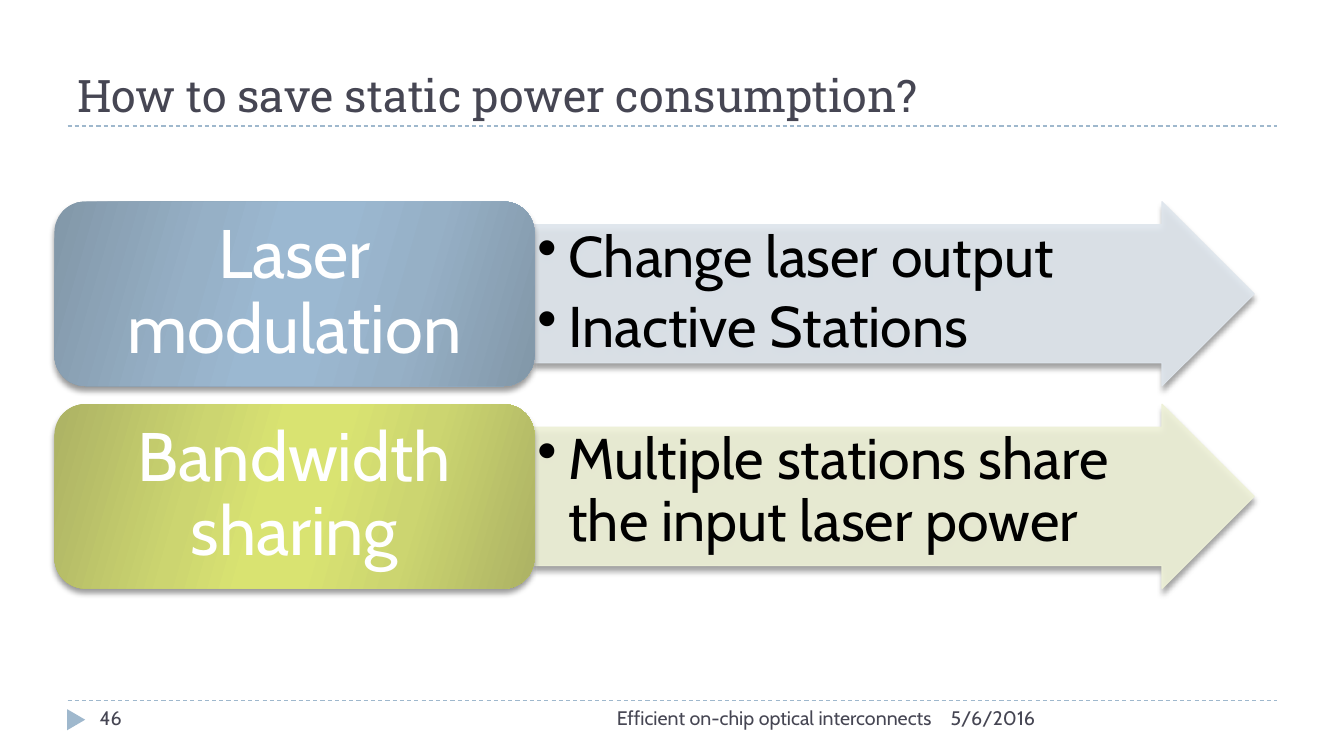
from lxml.etree import SubElement
from pptx import Presentation
from pptx.dml.color import RGBColor
from pptx.enum.dml import MSO_LINE
from pptx.enum.shapes import MSO_CONNECTOR, MSO_SHAPE
from pptx.enum.text import MSO_ANCHOR, PP_ALIGN
from pptx.oxml import parse_xml
from pptx.oxml.ns import nsdecls, qn
from pptx.util import Emu, Pt

PX = 9144  # 100 px to the inch

WHITE = RGBColor(0xFF, 0xFF, 0xFF)
BLACK = RGBColor(0x00, 0x00, 0x00)
SLATE = RGBColor(0x46, 0x46, 0x53)
BLUE = RGBColor(0x9F, 0xB8, 0xCD)
PALE_BLUE = RGBColor(0xDF, 0xE6, 0xED)
PALE_GREEN = RGBColor(0xEE, 0xF1, 0xD7)
# Edge, shoulder and centre of each label's gradient
BLUES = (RGBColor(0x82, 0x97, 0xA8), RGBColor(0x96, 0xB0, 0xC6), RGBColor(0x9B, 0xB8, 0xD1))
GREENS = (RGBColor(0xAC, 0xB2, 0x64), RGBColor(0xCC, 0xD5, 0x70), RGBColor(0xD9, 0xE3, 0x71))
GRADIENT_STOPS = ((0, 0), (30, 1), (45, 2), (55, 2), (73, 1), (100, 0))

LABEL_LEFT, LABEL_WIDTH = 54, 476
ARROW_LEFT, ARROW_WIDTH = LABEL_LEFT + LABEL_WIDTH, 714
ROW_TOP, ROW_HEIGHT, ROW_PITCH = 200, 183, 201
ROWS = (
    ("Laser modulation", BLUES, PALE_BLUE, ("Change laser output", "Inactive Stations")),
    ("Bandwidth sharing", GREENS, PALE_GREEN, ("Multiple stations share the input laser power",)),
)


def px(*lengths):
    return [Emu(n * PX) for n in lengths]


def write(sp, *lines, size, color, font="Cabin", align=PP_ALIGN.LEFT, anchor=MSO_ANCHOR.TOP,
          insets=(10, 5), spacing=None, after=None, bullet_indent=None):
    """Fill a shape with one paragraph per line; insets are (horizontal, vertical)."""
    tf = sp.text_frame
    tf.word_wrap = True
    tf.vertical_anchor = anchor
    tf.margin_left, tf.margin_top = px(*insets)
    tf.margin_right, tf.margin_bottom = px(*insets)
    for i, line in enumerate(lines):
        p = tf.add_paragraph() if i else tf.paragraphs[0]
        p.alignment = align
        p.line_spacing = spacing
        p.space_after = after
        if bullet_indent:
            add_bullet(p, bullet_indent)
        r = p.add_run()
        r.text = line
        r.font.name = font
        r.font.size = Pt(size)
        r.font.color.rgb = color


def add_bullet(p, indent):
    pPr = p._p.get_or_add_pPr()
    pPr.set("marL", str(indent * PX))
    pPr.set("indent", str(-indent * PX))
    SubElement(pPr, qn("a:buChar")).set("char", "•")


def add_text(s, x, y, w, h, text, **fmt):
    write(s.shapes.add_textbox(*px(x, y, w, h)), text, **fmt)


def add_rule(s, y):
    line = s.shapes.add_connector(MSO_CONNECTOR.STRAIGHT, *px(67, y, 1267, y))
    line.line.color.rgb = BLUE
    line.line.width = Pt(0.75)
    line.line.dash_style = MSO_LINE.DASH
    SubElement(line._element.spPr, qn("a:effectLst"))


def add_shadow(sp):
    sp._element.spPr.append(parse_xml(
        f'<a:effectLst {nsdecls("a")}>'
        '<a:outerShdw blurRad="50800" dist="43000" dir="5400000" rotWithShape="0">'
        '<a:srgbClr val="000000"><a:alpha val="40000"/></a:srgbClr>'
        '</a:outerShdw></a:effectLst>'))


def fill_gradient(sp, colors):
    stops = "".join(
        f'<a:gs pos="{pos * 1000}"><a:srgbClr val="{colors[i]}"/></a:gs>'
        for pos, i in GRADIENT_STOPS)
    sp._element.spPr.find(qn("a:prstGeom")).addnext(parse_xml(
        f'<a:gradFill {nsdecls("a")} rotWithShape="1"><a:gsLst>{stops}</a:gsLst>'
        f'<a:lin ang="{16 * 60000}" scaled="0"/></a:gradFill>'))


def add_arrow(s, y, color, points):
    sp = s.shapes.add_shape(MSO_SHAPE.RIGHT_ARROW, *px(ARROW_LEFT, y, ARROW_WIDTH, ROW_HEIGHT))
    sp.adjustments[0] = 0.75
    sp.adjustments[1] = 0.5
    sp.fill.solid()
    sp.fill.fore_color.rgb = color
    sp.line.color.rgb = color
    sp.line.width = Pt(0.75)
    for clr in sp._element.spPr.iter(qn("a:srgbClr")):
        SubElement(clr, qn("a:alpha")).set("val", "90000")
    add_shadow(sp)
    write(sp, *points, size=41, color=BLACK, insets=(3, 3), spacing=0.9,
          after=Pt(6), bullet_indent=31)


def add_label(s, y, colors, text):
    sp = s.shapes.add_shape(MSO_SHAPE.ROUNDED_RECTANGLE,
                            *px(LABEL_LEFT, y, LABEL_WIDTH, ROW_HEIGHT))
    sp.line.fill.background()
    fill_gradient(sp, colors)
    add_shadow(sp)
    write(sp, text, size=49, color=WHITE, align=PP_ALIGN.CENTER,
          anchor=MSO_ANCHOR.MIDDLE, insets=(20, 10), spacing=0.9)


def add_footer(s):
    add_rule(s, 695)
    marker = s.shapes.add_shape(MSO_SHAPE.ISOSCELES_TRIANGLE, *px(65, 705, 21, 18))
    marker.rotation = 90
    marker.shadow.inherit = False
    marker.fill.solid()
    marker.fill.fore_color.rgb = BLUE
    marker.line.fill.background()
    for x, w, text, align in (
        (89, 289, "46", PP_ALIGN.LEFT),
        (423, 511, "Efficient on-chip optical interconnects", PP_ALIGN.RIGHT),
        (933, 334, "5/6/2016", PP_ALIGN.LEFT),
    ):
        add_text(s, x, 695, w, 40, text, size=14, color=SLATE, align=align)


def main():
    prs = Presentation()
    prs.slide_width, prs.slide_height = px(1333, 750)
    s = prs.slides.add_slide(prs.slide_layouts[6])
    add_rule(s, 125)
    add_text(s, 67, 25, 1200, 100, "How to save static power consumption?",
             size=32, color=SLATE, font="Roboto Slab", anchor=MSO_ANCHOR.BOTTOM)
    for i, (label, gradient, pale, points) in enumerate(ROWS):
        y = ROW_TOP + i * ROW_PITCH
        add_arrow(s, y, pale, points)
        add_label(s, y, gradient, label)
    add_footer(s)
    prs.save("out.pptx")


if __name__ == "__main__":
    main()
